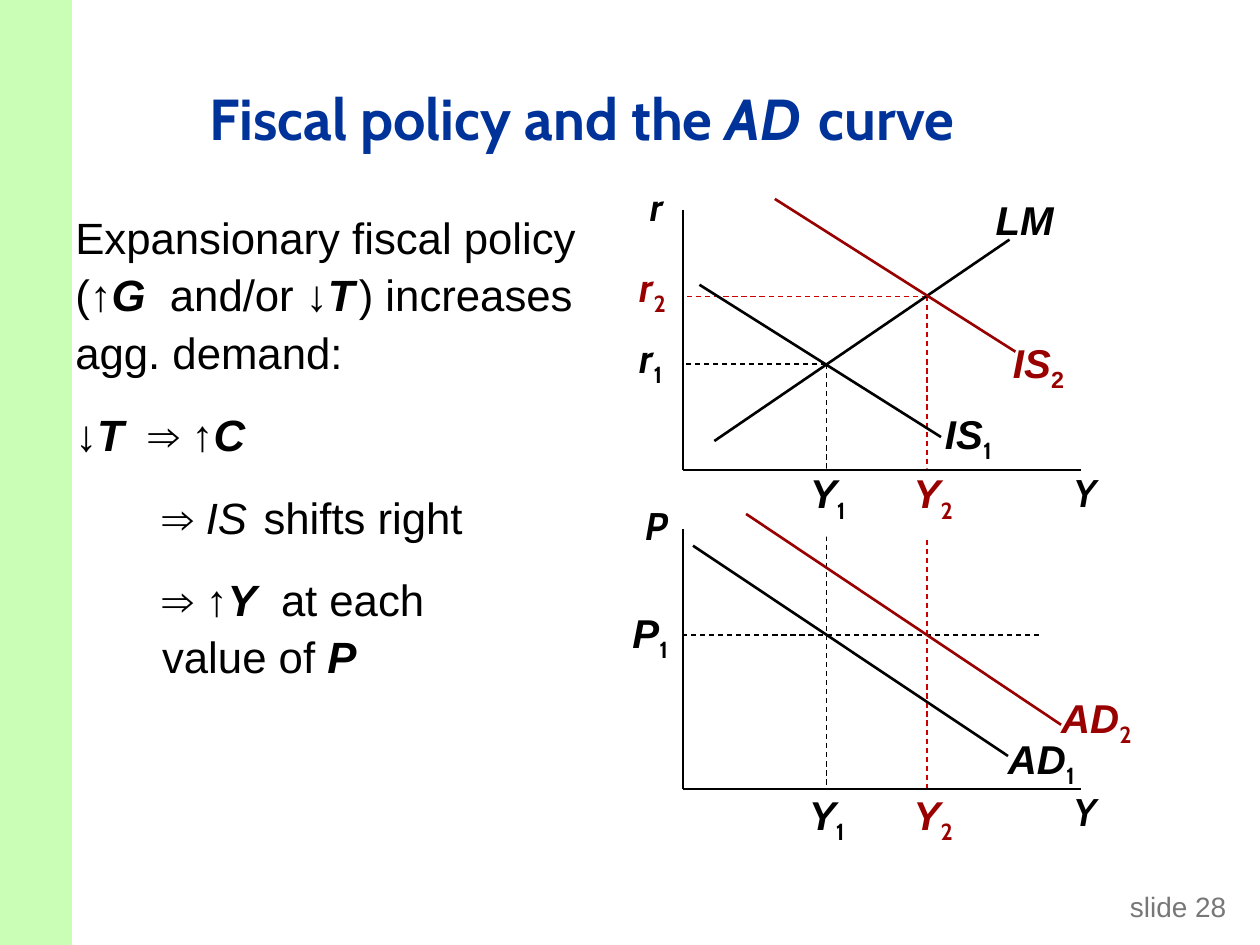
from dataclasses import dataclass

from lxml import etree
from pptx import Presentation
from pptx.dml.color import RGBColor
from pptx.enum.dml import MSO_LINE
from pptx.enum.shapes import MSO_CONNECTOR, MSO_SHAPE
from pptx.enum.text import MSO_ANCHOR, PP_ALIGN
from pptx.oxml.ns import qn
from pptx.util import Cm, Pt

DASH = MSO_LINE.DASH
STRAIGHT = MSO_CONNECTOR.STRAIGHT
RECTANGLE = MSO_SHAPE.RECTANGLE
MIDDLE = MSO_ANCHOR.MIDDLE
CENTER = PP_ALIGN.CENTER


@dataclass(frozen=True)
class Theme:
    black: str = "000000"
    red: str = "990000"
    bright_red: str = "CC0000"
    blue: str = "003399"
    gray: str = "777777"
    green: str = "CAFDB5"
    white: str = "FFFFFF"
    body_font: str = "Arial"
    title_font: str = "Cabin"
    title: float = 33
    body: float = 25
    label: float = 23
    axis: float = 22
    footer: float = 16
    title_gap: float = 11
    body_gap: float = 9


theme = Theme()

presentation = Presentation()
presentation.slide_width = Cm(25.4)
presentation.slide_height = Cm(19.05)
slide = presentation.slides.add_slide(presentation.slide_layouts[6])


def add_line(start, end, color, width, dashed=False):
    line = slide.shapes.add_connector(STRAIGHT, *(Cm(value) for value in start + end))
    line.line.color.rgb = RGBColor.from_string(color)
    line.line.width = Pt(width)
    if dashed:
        line.line.dash_style = DASH
    etree.SubElement(line._element.spPr, qn("a:effectLst"))


def add_text(box, paragraphs, color, base, margins=(0, 0), layout=None, fill=None):
    shape = slide.shapes.add_textbox(*(Cm(value) for value in box))
    if fill:
        shape.fill.solid()
        shape.fill.fore_color.rgb = RGBColor.from_string(fill)
    frame = shape.text_frame
    frame.word_wrap = True
    frame.margin_left = frame.margin_right = Cm(margins[0])
    frame.margin_top = frame.margin_bottom = Cm(margins[1])
    for index, runs in enumerate(paragraphs):
        paragraph = frame.add_paragraph() if index else frame.paragraphs[0]
        for name, value in (layout or {}).items():
            setattr(paragraph, name, value)
        for text, changes in runs:
            if text == "\n":
                paragraph.add_line_break()
                continue
            run = paragraph.add_run()
            run.text = text
            run.font.color.rgb = RGBColor.from_string(color)
            formats = {**base, **changes}
            baseline = formats.pop("baseline", None)
            for name, value in formats.items():
                setattr(run.font, name, value)
            if baseline:
                run.font._element.set("baseline", baseline)
    return frame


sidebar = slide.shapes.add_shape(RECTANGLE, 0, 0, Cm(1.45), presentation.slide_height)
sidebar.shadow.inherit = False
sidebar.fill.solid()
sidebar.fill.fore_color.rgb = RGBColor.from_string(theme.green)
sidebar.line.fill.background()

add_text((22.78, 17.93, 2.39, 0.81), [[("slide 28", {})]], theme.gray,
         {"name": theme.body_font, "size": Pt(theme.footer)})

title_base = {"name": theme.title_font, "size": Pt(theme.title), "bold": True}
title_runs = [
    ("Fiscal policy and the ", {}),
    ("AD", {"italic": True}),
    (" ", {"italic": True, "size": Pt(theme.title_gap)}),
    (" curve", {}),
]
title = add_text((4.22, 0.66, 19.99, 3.33), [title_runs], theme.blue, title_base,
                 layout={"line_spacing": 1.05})
title.vertical_anchor = MIDDLE

strong = {"bold": True, "italic": True}
small_gap = {"italic": True, "size": Pt(theme.body_gap)}
body_paragraphs = [
    [("Expansionary fiscal policy (↑", {}), ("G", strong), ("  and/or ↓", {}),
     ("T", strong), (" ", {**small_gap, "bold": True}), (") increases agg. demand:", {})],
    [("↓", {}), ("T  ", strong), ("⇒ ↑", {}), ("C", strong)],
    [("⇒ ", {}), ("IS", {"italic": True}), (" ", small_gap), (" shifts right", {})],
    [("⇒ ↑", {}), ("Y", strong), ("  at each", {}), ("\n", {}), ("value of ", {}),
     ("P", strong)],
]
body = add_text((1.27, 4.01, 10.59, 11), body_paragraphs, theme.black,
                {"name": theme.body_font, "size": Pt(theme.body)}, (0.25, 0.13),
                {"line_spacing": 1.1, "space_before": Pt(14)})
for paragraph in body.paragraphs[2:]:
    properties = paragraph._p.get_or_add_pPr()
    properties.set("marL", str(Cm(1.75)))
    properties.set("indent", "0")

label_base = {"name": theme.body_font, "size": Pt(theme.label), **strong}
subscript = {"name": theme.title_font, "italic": False, "baseline": "-25000"}
axis_base = {**label_base, "name": theme.title_font, "size": Pt(theme.axis)}

axis_left, dash_left, axis_right = 13.77, 13.75, 21.79
lower_bottom = 15.9
equilibria = [
    ("2", 18.69, 5.97, 18.42, 18.42, 5.28, theme.red, theme.bright_red),
    ("1", 16.66, 7.34, 16.33, 16.31, 6.71, theme.black, theme.black),
]
for number, x, y, upper_x, lower_x, rate_y, color, dash_color in equilibria:
    add_line((x, y), (x, lower_bottom), dash_color, 0.75, True)
    add_line((x, y), (dash_left, y), dash_color, 0.75, True)
    income = [[("Y", {}), (number, subscript)]]
    add_text((upper_x, 9.45, 1.07, 1.37), income, color, label_base, fill=theme.white)
    add_text((lower_x, 15.93, 1.07, 1.12), income, color, label_base)
    add_text((12.9, rate_y, 1.07, 1.09),
             [[("r", {"name": theme.title_font}), (number, subscript)]], color, label_base)

for vertical_name, top in [("r", 4.24), ("P", 10.67)]:
    bottom = top + 5.23
    add_line((axis_left, top), (axis_left, bottom), theme.black, 1)
    add_line((axis_left, bottom), (axis_right, bottom), theme.black, 1)
    add_text((21.39, bottom - 0.15, 1.47, 1.19), [[("Y", {})]], theme.black,
             axis_base, (0.25, 0.13))
    add_text((12.7, top - 0.68, 1.07, 1.19), [[(vertical_name, {})]], theme.black,
             axis_base, (0.25, 0.13), {"alignment": CENTER})

add_line((dash_left, 12.8), (20.96, 12.8), theme.black, 0.75, True)
add_text((12.75, 12.27, 1.07, 1.37), [[("P", {}), ("1", subscript)]], theme.black, label_base)

arial_subscript = {**subscript, "name": theme.body_font}
curves = [
    ("IS", "1", (14.1, 5.74), (18.97, 8.81), (19.05, 8.26), 1.47, theme.black, subscript),
    ("LM", "", (14.4, 8.89), (20.35, 4.83), (20.07, 3.94), 1.7, theme.black, subscript),
    ("AD", "1", (13.97, 11), (20.32, 15.24), (20.32, 14.81), 1.9, theme.black, subscript),
    ("AD", "2", (15.04, 10.36), (21.39, 14.61), (21.39, 13.97), 1.9, theme.red, subscript),
    ("IS", "2", (15.62, 4.01), (20.47, 7.09), (20.42, 6.81), 1.47, theme.red, arial_subscript),
]
for name, number, start, end, label_at, width, color, number_format in curves:
    add_line(start, end, color, 1.5)
    runs = [(name, {})] + ([(number, number_format)] if number else [])
    add_text((*label_at, width, 1.37), [runs], color, label_base)

presentation.save("out.pptx")
